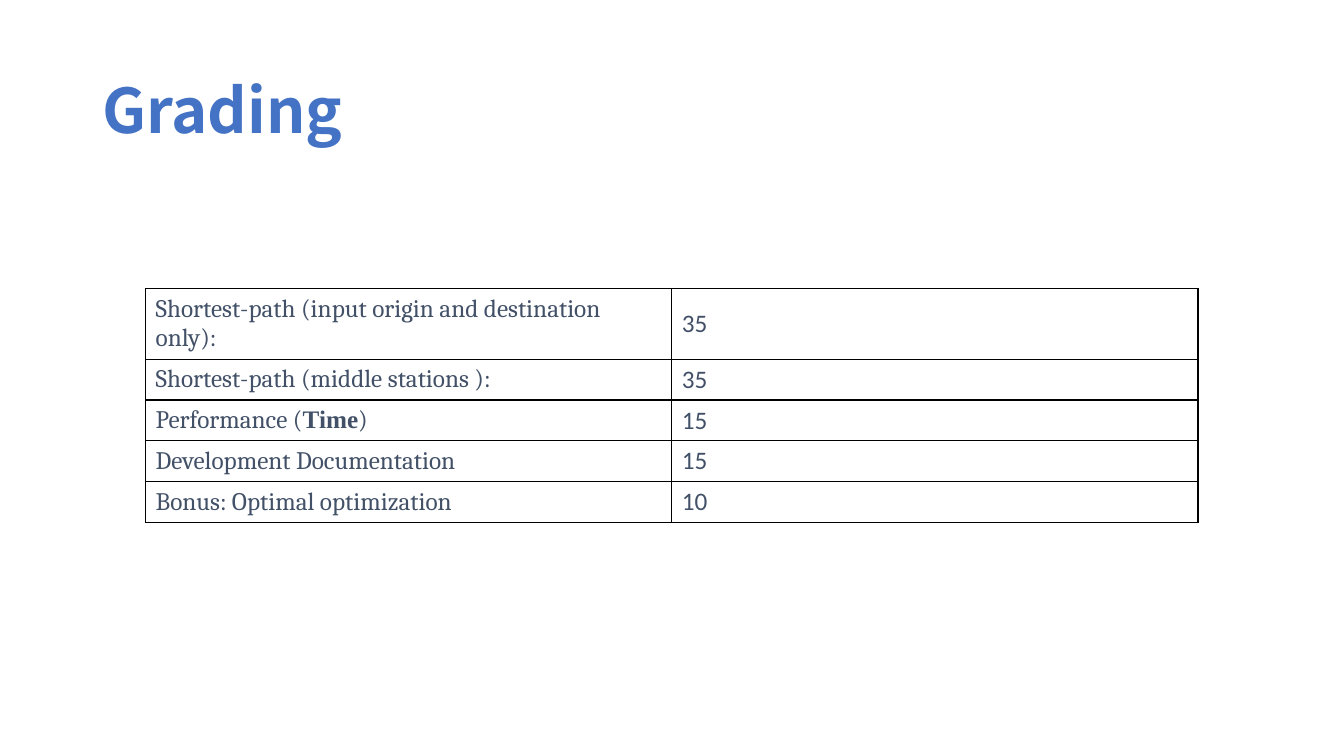
from lxml import etree
from pptx import Presentation
from pptx import util as u
from pptx.dml import color
from pptx.enum import text
from pptx.oxml import ns

GRADES = [
    (["Shortest-path (input origin and destination only):"], "35"),
    (["Shortest-path (middle stations ):"], "35"),
    (["Performance (", "Time", ")"], "15"),
    (["Development Documentation"], "15"),
    (["Bonus: Optimal optimization"], "10"),
]


def rgb(value):
    return color.RGBColor.from_string(value)


class GradingSlide:
    BLUE, SLATE, BLACK = "4472C4", "425168", "000000"
    TITLE_FONT, LABEL_FONT = "Noto Sans CJK SC", "Cambria"
    STRONG_FONT, POINTS_FONT = "Times New Roman", "Calibri"

    def __init__(self, prs):
        self.s = prs.slides.add_slide(prs.slide_layouts[6])

    def style(self, r, font, size, hue, bold=False):
        r.font.name, r.font.size, r.font.bold = font, u.Pt(size), bold
        r.font.color.rgb = rgb(hue)

    def title(self, words, left, top, width, height):
        sp = self.s.shapes.add_textbox(u.Cm(left), u.Cm(top), u.Cm(width), u.Cm(height))
        tf = sp.text_frame
        tf.word_wrap = True
        tf.vertical_anchor = text.MSO_ANCHOR.MIDDLE
        tf.text = words
        p = tf.paragraphs[0]
        p.line_spacing = 0.9
        self.style(p.runs[0], self.TITLE_FONT, 44, self.BLUE, True)

    def borders(self, cell):
        tc_pr = cell._tc.get_or_add_tcPr()
        for i, side in enumerate(("lnL", "lnR", "lnT", "lnB")):
            ln = etree.Element(ns.qn("a:" + side), w=str(u.Pt(1)))
            fill = etree.SubElement(ln, ns.qn("a:solidFill"))
            etree.SubElement(fill, ns.qn("a:srgbClr"), val=self.BLACK)
            tc_pr.insert(i, ln)

    def cell(self, cell, parts, font):
        cell.fill.background()
        cell.vertical_anchor = text.MSO_ANCHOR.MIDDLE
        self.borders(cell)
        p = cell.text_frame.paragraphs[0]
        for i, words in enumerate(parts):
            r = p.add_run()
            r.text = words
            strong = i == 1  # the middle part is emphasised
            self.style(r, self.STRONG_FONT if strong else font, 18, self.SLATE, strong)

    def table(self, rows, left, top, width, heights):
        frame = self.s.shapes.add_table(len(rows), 2, u.Cm(left), u.Cm(top),
                                        u.Cm(width), u.Cm(sum(heights)))
        tbl = frame.table
        tbl.first_row = tbl.horz_banding = False
        for col in tbl.columns:
            col.width = u.Cm(width / 2)
        for i, (label, points) in enumerate(rows):
            tbl.rows[i].height = u.Cm(heights[i])
            self.cell(tbl.cell(i, 0), label, self.LABEL_FONT)
            self.cell(tbl.cell(i, 1), [points], self.POINTS_FONT)


def main():
    prs = Presentation()
    prs.slide_width, prs.slide_height = u.Cm(33.87), u.Cm(19.05)
    s = GradingSlide(prs)
    # Heading
    s.title("Grading", 2.33, 1.01, 29.21, 3.68)
    # Points per criterion
    s.table(GRADES, 3.67, 7.27, 26.52, [1.78] + [1.03] * 4)
    prs.save("out.pptx")


if __name__ == "__main__":
    main()
